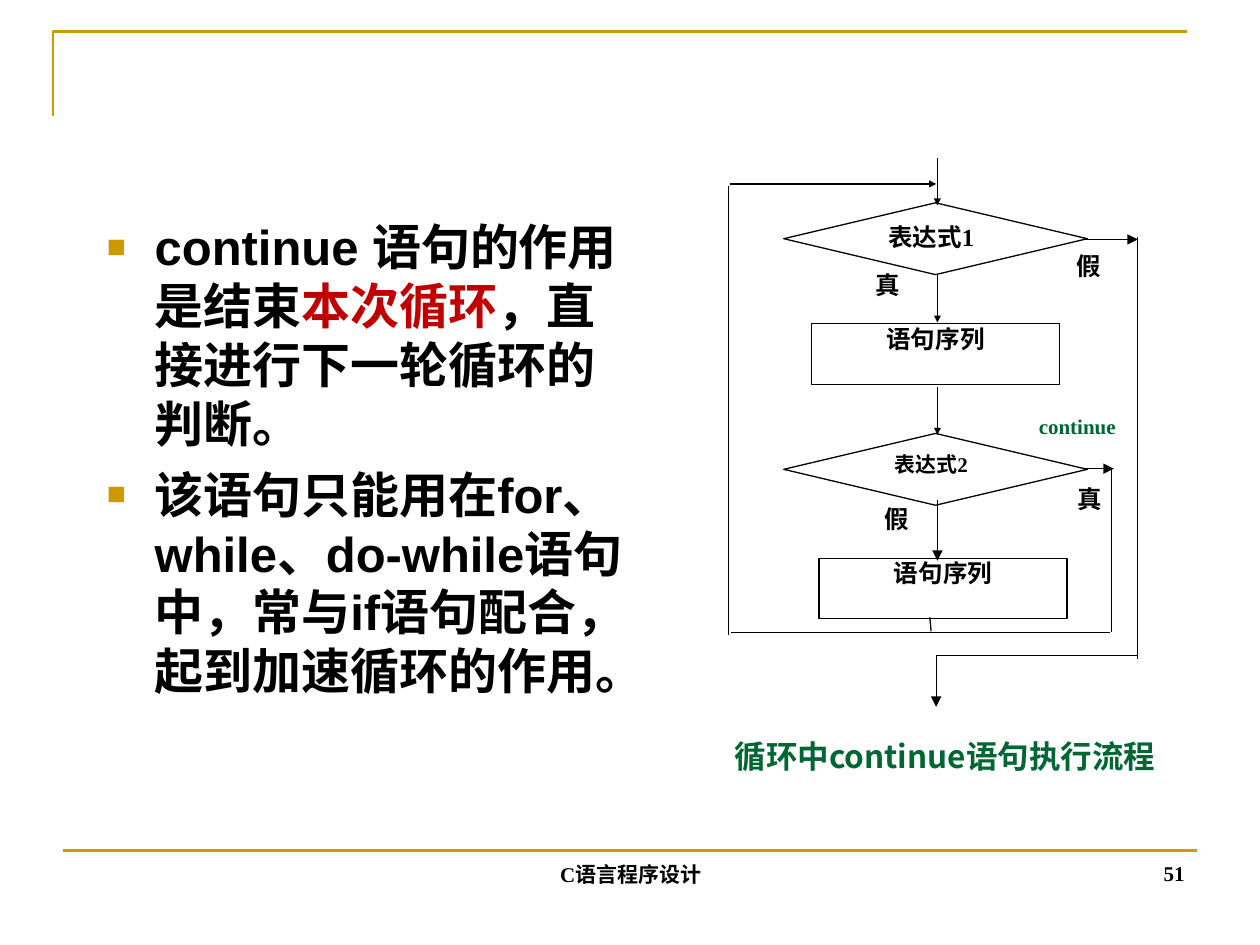
import pptx
import pptx.util
import pptx.dml.color
import pptx.enum.shapes
import pptx.enum.text
import pptx.oxml
import pptx.oxml.ns
from lxml import etree

Inches = pptx.util.Inches
Pt = pptx.util.Pt
SHAPE = pptx.enum.shapes.MSO_SHAPE
ALIGN = pptx.enum.text.PP_ALIGN
ANCHOR = pptx.enum.text.MSO_ANCHOR
qn = pptx.oxml.ns.qn

BLACK, GOLD, GREEN, RED = "000000", "CC9900", "006633", "C00000"
SERIF, SANS, CJK = "Times New Roman", "Arial", "Noto Sans CJK SC"


def color(value):
    return pptx.dml.color.RGBColor.from_string(value)


def add_run(p, text, size, font=SERIF, fill=BLACK):
    r = p.add_run()
    r.text = text
    r.font.size = Pt(size)
    r.font.name = font
    r.font.bold = True
    r.font.color.rgb = color(fill)


prs = pptx.Presentation()
prs.slide_width, prs.slide_height = Inches(10), Inches(7.5)
s = prs.slides.add_slide(prs.slide_layouts[6])

# Corner frame at the top
fb = s.shapes.build_freeform(Inches(0.42), Inches(0.92))
fb.add_line_segments([(Inches(0.42), Inches(0.25)), (Inches(9.42), Inches(0.25))], close=False)
frame = fb.convert_to_shape()
frame.shadow.inherit = False
frame.fill.background()
frame.line.color.rgb = color(GOLD)
frame.line.width = Pt(1.5)

# Footer
for text, x, y, w, align in [
    ("C语言程序设计", 3.42, 6.59, 3.17, ALIGN.CENTER),
    ("51", 7.17, 6.58, 2.33, ALIGN.RIGHT),
]:
    tf = s.shapes.add_textbox(Inches(x), Inches(y), Inches(w), Inches(0.5)).text_frame
    tf.word_wrap = True
    tf.vertical_anchor = ANCHOR.BOTTOM
    tf.paragraphs[0].alignment = align
    add_run(tf.paragraphs[0], text, 12)

# Bulleted explanation
bullets = [
    [("continue 语句的作用是结束", BLACK), ("本次循环", RED), ("，直接进行下一轮循环的判断。", BLACK)],
    [("该语句只能用在for、while、do-while语句中，常与if语句配合，起到加速循环的作用。", BLACK)],
]
tf = s.shapes.add_textbox(Inches(0.75), Inches(1.67), Inches(4.33), Inches(4.5)).text_frame
tf.word_wrap = True
for i, runs in enumerate(bullets):
    p = tf.add_paragraph() if i else tf.paragraphs[0]
    pPr = p._p.get_or_add_pPr()
    pPr.set("marL", str(Inches(0.38)))
    pPr.set("indent", str(Inches(-0.38)))
    clr = etree.SubElement(pPr, qn("a:buClr"))
    etree.SubElement(clr, qn("a:srgbClr"), val=GOLD)
    etree.SubElement(pPr, qn("a:buSzPct"), val="65000")
    etree.SubElement(pPr, qn("a:buFont"), typeface=SANS)
    etree.SubElement(pPr, qn("a:buChar"), char="■")
    if i:
        p.space_before = Pt(7)
    for text, fill in runs:
        add_run(p, text, 28, SANS, fill)

# Flowchart nodes
for shape, x, y, w, h, text in [
    (SHAPE.FLOWCHART_DECISION, 6.22, 1.61, 2.41, 0.57, ""),
    (SHAPE.RECTANGLE, 6.44, 2.57, 1.97, 0.48, "语句序列"),
    (SHAPE.FLOWCHART_DECISION, 6.22, 3.44, 2.41, 0.57, ""),
    (SHAPE.RECTANGLE, 6.5, 4.43, 1.97, 0.48, "语句序列"),
]:
    sp = s.shapes.add_shape(shape, Inches(x), Inches(y), Inches(w), Inches(h))
    sp.shadow.inherit = False
    sp.fill.background()
    sp.line.color.rgb = color(BLACK)
    sp.line.width = Pt(0.75)
    if text:
        tf = sp.text_frame
        tf.margin_left = tf.margin_top = tf.margin_right = tf.margin_bottom = 0
        tf.vertical_anchor = ANCHOR.TOP
        tf.paragraphs[0].alignment = ALIGN.CENTER
        add_run(tf.paragraphs[0], text, 14)

# Flowchart labels and caption
for text, x, y, w, h, size, font, fill in [
    ("表达式1", 6.73, 1.76, 1.32, 0.29, 14, SERIF, BLACK),
    ("真", 6.88, 2.14, 0.33, 0.38, 14, SERIF, BLACK),
    ("假", 8.48, 1.99, 0.33, 0.38, 14, SERIF, BLACK),
    ("表达式2", 6.73, 3.58, 1.32, 0.29, 12, SERIF, BLACK),
    ("假", 6.9, 4, 0.44, 0.48, 14, SERIF, BLACK),
    ("真", 8.43, 3.84, 0.44, 0.31, 14, SERIF, BLACK),
    ("continue", 8.21, 3.28, 0.68, 0.33, 12, SERIF, GREEN),
    ("循环中continue语句执行流程", 5.57, 5.85, 3.86, 0.31, 18, CJK, GREEN),
]:
    tf = s.shapes.add_textbox(Inches(x), Inches(y), Inches(w), Inches(h)).text_frame
    tf.margin_left = tf.margin_top = tf.margin_right = tf.margin_bottom = 0
    tf.word_wrap = True
    tf.paragraphs[0].alignment = ALIGN.CENTER
    add_run(tf.paragraphs[0], text, size, font, fill)

# Footer rule and flow lines: start, end, arrowhead size, colour, width
for x1, y1, x2, y2, head, fill, width in [
    (0.5, 6.75, 9.5, 6.75, None, GOLD, 1.5),
    # main flow downwards
    (7.44, 1.25, 7.44, 1.63, "sm", BLACK, 0.75),
    (7.44, 2.18, 7.44, 2.56, "sm", BLACK, 0.75),
    (7.44, 3.07, 7.44, 3.45, "sm", BLACK, 0.75),
    (7.44, 3.97, 7.44, 4.45, "med", BLACK, 0.75),
    (7.38, 4.9, 7.39, 5.01, None, BLACK, 0.75),
    # loop back to the first test
    (8.81, 5.02, 5.8, 5.02, None, BLACK, 0.75),
    (5.78, 5.04, 5.78, 1.48, None, BLACK, 0.75),
    (5.79, 1.46, 7.43, 1.46, "sm", BLACK, 0.75),
    # continue branch
    (8.59, 3.72, 8.84, 3.72, "med", BLACK, 0.75),
    (8.82, 3.72, 8.82, 5.02, None, BLACK, 0.75),
    # loop exit
    (8.59, 1.9, 9.03, 1.9, "med", BLACK, 0.75),
    (9.03, 1.88, 9.03, 5.23, None, BLACK, 0.75),
    (9.03, 5.2, 7.43, 5.2, None, BLACK, 0.75),
    (7.43, 5.2, 7.43, 5.61, "med", BLACK, 0.75),
]:
    line = s.shapes.add_connector(
        pptx.enum.shapes.MSO_CONNECTOR.STRAIGHT, Inches(x1), Inches(y1), Inches(x2), Inches(y2))
    line.line.color.rgb = color(fill)
    line.line.width = Pt(width)
    spPr = line._element.spPr
    if head:
        etree.SubElement(spPr.find(qn("a:ln")), qn("a:tailEnd"), type="triangle", w=head, len=head)
    etree.SubElement(spPr, qn("a:effectLst"))

prs.save("out.pptx")
